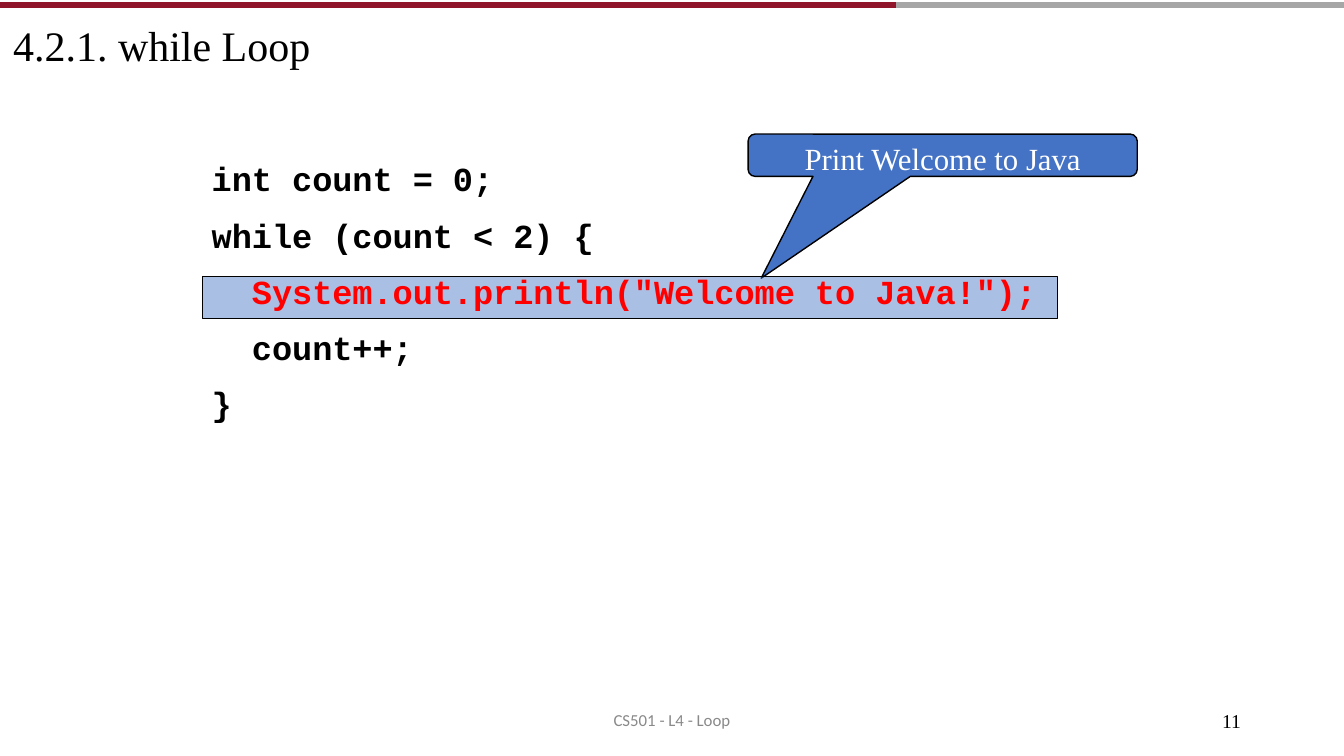
from lxml.etree import SubElement
from pptx import Presentation
from pptx.dml.color import RGBColor
from pptx.enum.shapes import MSO_CONNECTOR as Line, MSO_SHAPE as Shape
from pptx.enum.text import MSO_ANCHOR as Anchor, MSO_AUTO_SIZE as Fit, PP_ALIGN as Align
from pptx.oxml.ns import qn
from pptx.util import Inches, Pt

BLACK = RGBColor(0x00, 0x00, 0x00)
WHITE = RGBColor(0xFF, 0xFF, 0xFF)
RED = RGBColor(0xFF, 0x00, 0x00)
BLUE = RGBColor(0x44, 0x72, 0xC4)
WINE = RGBColor(0x90, 0x15, 0x2A)
SILVER = RGBColor(0xA6, 0xA6, 0xA6)
GRAY = RGBColor(0x89, 0x89, 0x89)

SERIF, SANS, MONO = "Times New Roman", "Calibri", "Courier New"
WIDE = 13.33

CODE = [
    ("int count = 0;", BLACK),
    ("while (count < 2) {", BLACK),
    ('  System.out.println("Welcome to Java!");', RED),
    ("  count++;", BLACK),
    ("}", BLACK),
]


class Deck:
    def __init__(self):
        self.show = Presentation()
        self.show.slide_width = Inches(WIDE)
        self.show.slide_height = Inches(7.5)
        self.slide = self.show.slides.add_slide(self.show.slide_layouts[5])
        self.shapes = self.slide.shapes

    def frame(self, shape, top=0):
        frame = shape.text_frame
        frame.margin_left = frame.margin_right = frame.margin_bottom = 0
        frame.margin_top = Inches(top)
        frame.vertical_anchor = Anchor.TOP
        frame.auto_size = Fit.NONE
        frame.word_wrap = True
        return frame

    def style(self, para, face, size, color, align=Align.LEFT, bold=False):
        para.alignment = align
        for run in para.runs:
            font = run.font
            font.name, font.size, font.bold = face, Pt(size), bold
            font.color.rgb = color

    def title(self, text, x, y, w, h):
        box = self.shapes.title
        box.left, box.top, box.width, box.height = map(Inches, (x, y, w, h))
        frame = self.frame(box, 0.01)
        frame.text = text
        self.style(frame.paragraphs[0], SERIF, 30, BLACK)

    def label(self, text, x, y, w, h, face, size, color, align=Align.LEFT):
        box = self.shapes.add_textbox(*map(Inches, (x, y, w, h)))
        frame = self.frame(box)
        frame.text = text
        self.style(frame.paragraphs[0], face, size, color, align)

    def rule(self, start, end, color):
        y = Inches(0.05)
        line = self.shapes.add_connector(Line.STRAIGHT, Inches(start), y, Inches(end), y)
        line.line.color.rgb = color
        line.line.width = Pt(4)
        SubElement(line._element.spPr, qn("a:effectLst"))

    def block(self, kind, x, y, w, h):
        shape = self.shapes.add_shape(kind, *map(Inches, (x, y, w, h)))
        shape.shadow.inherit = False
        shape.fill.solid()
        shape.fill.fore_color.rgb = BLUE
        shape.line.color.rgb = BLACK
        shape.line.width = Pt(1)
        return shape

    def band(self, x, y, w, h, alpha):
        shape = self.block(Shape.RECTANGLE, x, y, w, h)
        tint = shape._element.spPr.find(qn("a:solidFill"))[0]
        SubElement(tint, qn("a:alpha")).set("val", str(alpha * 1000))

    def callout(self, text, x, y, w, h, tip):
        shape = self.block(Shape.ROUNDED_RECTANGULAR_CALLOUT, x, y, w, h)
        # The tip is measured from the centre of the box
        shape.adjustments[0] = (tip[0] - x) / w - 0.5
        shape.adjustments[1] = (tip[1] - y) / h - 0.5
        frame = self.frame(shape, 0.04)
        frame.text = text
        self.style(frame.paragraphs[0], SERIF, 22, WHITE, Align.CENTER)

    def code(self, lines, x, y, w, h, gap):
        box = self.shapes.add_textbox(*map(Inches, (x, y, w, h)))
        frame = self.frame(box)
        for i, (text, color) in enumerate(lines):
            para = frame.add_paragraph() if i else frame.paragraphs[0]
            para.text = text
            para.space_before = Pt(gap if i else 0)
            self.style(para, MONO, 24, color, bold=True)
            for run in para.runs:
                run.font._element.set("spc", "-5")


def main():
    deck = Deck()

    # Header
    deck.rule(8.89, WIDE, SILVER)
    deck.rule(0, 8.89, WINE)
    deck.title("4.2.1. while Loop", 0.13, 0.18, 2.97, 0.53)

    # Code with the current line marked
    deck.callout("Print Welcome to Java", 7.42, 1.33, 3.86, 0.42, (7.55, 2.76))
    deck.band(2.01, 2.74, 8.48, 0.42, 45)
    deck.code(CODE, 2.1, 1.57, 8.39, 2.63, 11.4)

    # Footer
    deck.label("CS501 - L4 - Loop", 6.07, 7.04, 1.19, 0.23, SANS, 12, GRAY, Align.CENTER)
    deck.label("11", 12.12, 7.03, 0.25, 0.24, SERIF, 14, BLACK)

    deck.show.save("out.pptx")


if __name__ == "__main__":
    main()
